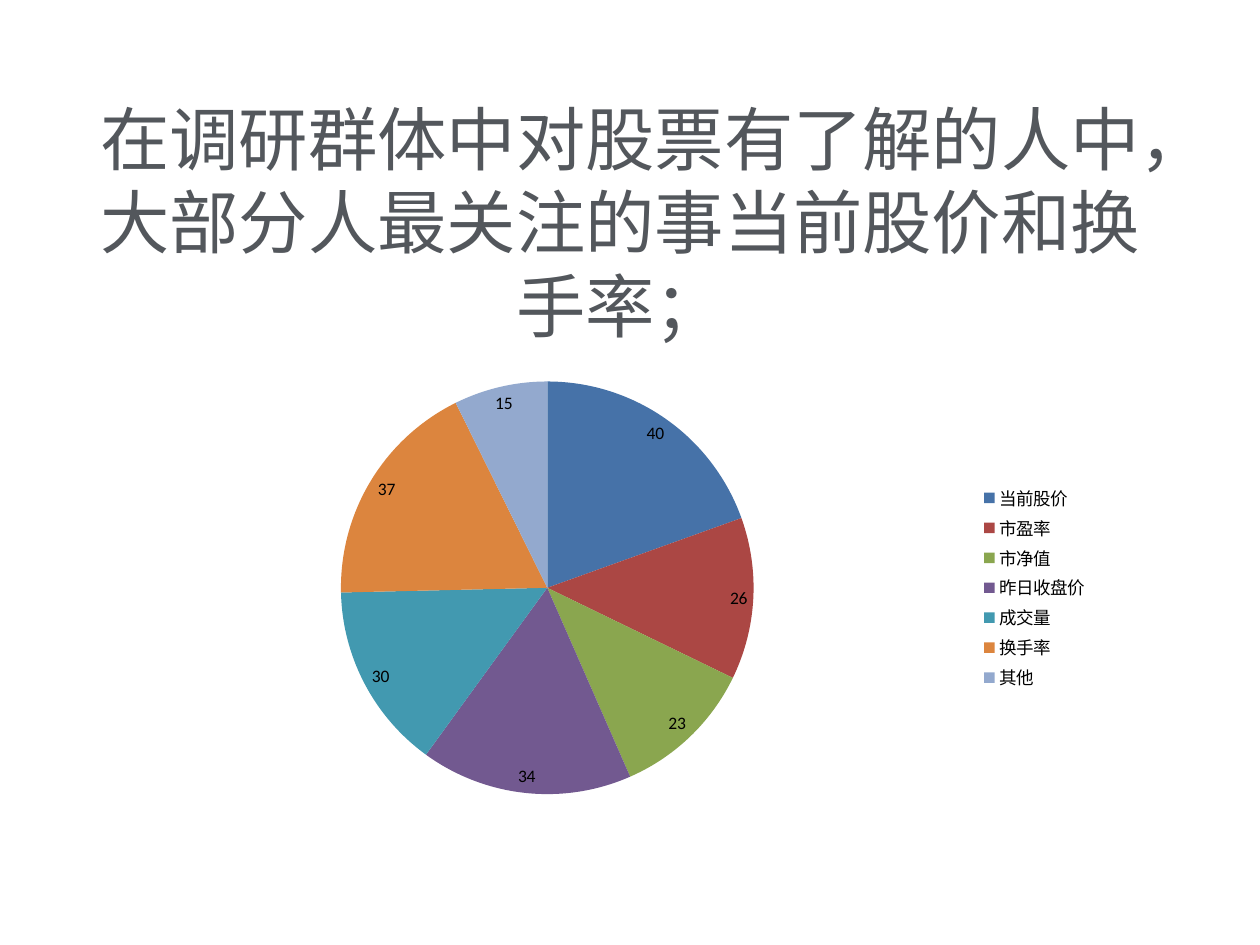
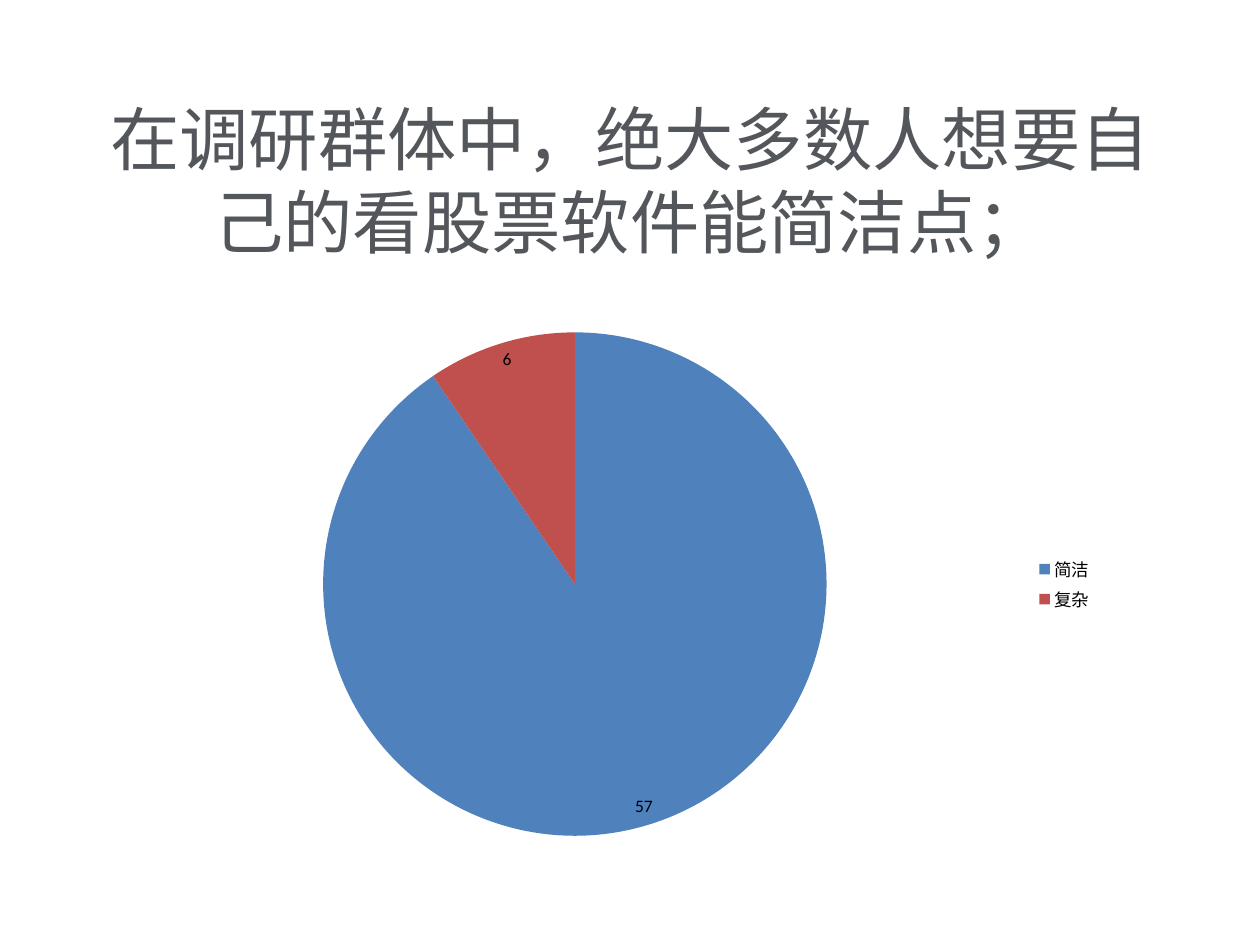
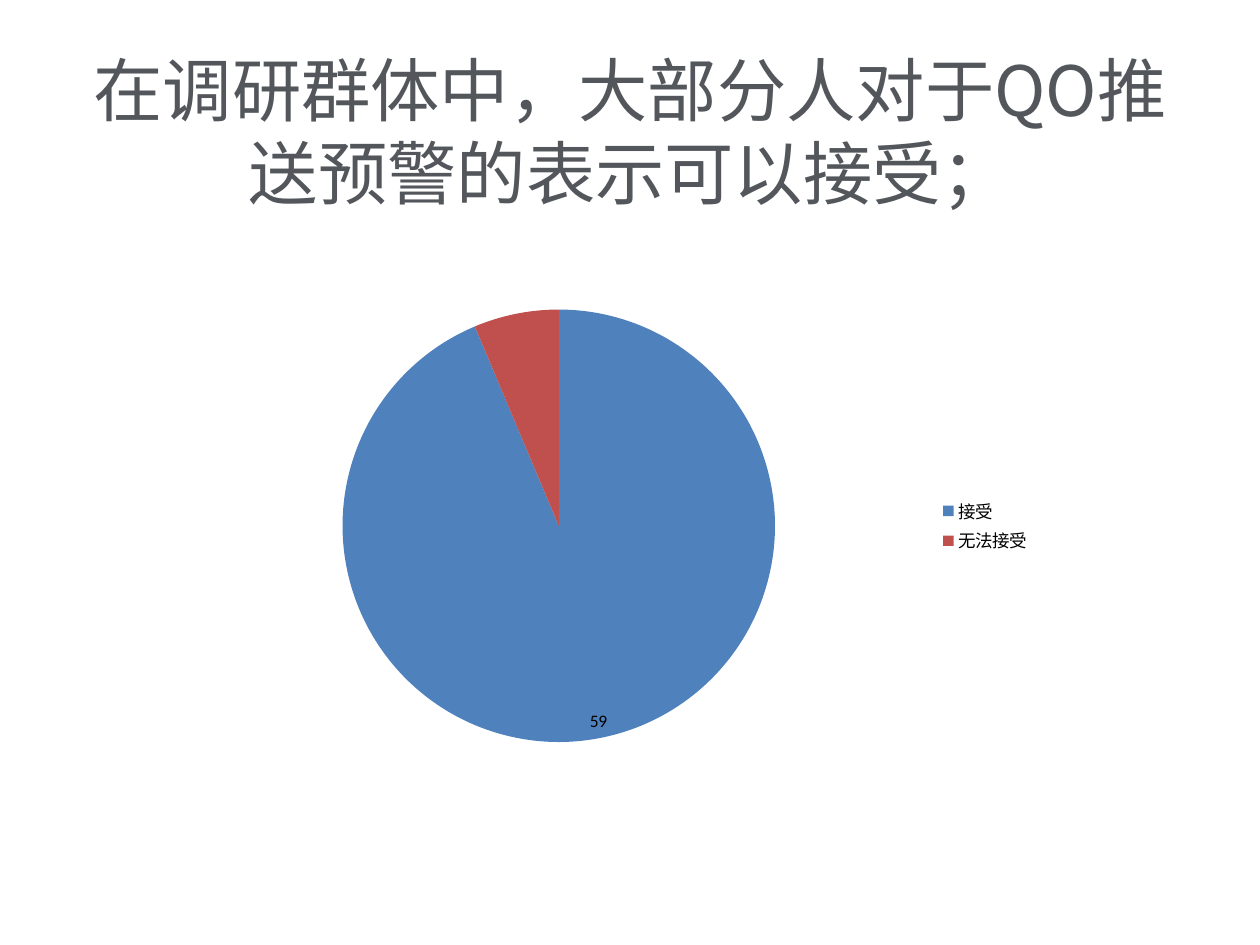
from dataclasses import dataclass

from lxml.etree import SubElement
from pptx import Presentation
from pptx.chart.data import CategoryChartData
from pptx.dml.color import RGBColor
from pptx.enum.chart import XL_CHART_TYPE, XL_LABEL_POSITION, XL_LEGEND_POSITION
from pptx.enum.text import MSO_ANCHOR, MSO_AUTO_SIZE, PP_ALIGN
from pptx.oxml import parse_xml
from pptx.oxml.ns import nsdecls, qn
from pptx.slide import Slide
from pptx.util import Cm, Pt

COLORS = {
    "title_dark": "53575C",
    "title_light": "C5C7CA",
    "label": "000000",
    "blue": "4F81BD",
    "red": "C0504D",
    "deep_blue": "4672A8",
    "deep_red": "AB4744",
    "deep_green": "8AA64F",
    "deep_purple": "725990",
    "deep_teal": "4299B0",
    "deep_orange": "DC853E",
    "pale_blue": "93A9CE",
}
TITLE_FONT = "Noto Sans CJK SC"
CHART_FONT = "Calibri"
TITLE_WIDTH, TITLE_HEIGHT = Cm(22.86), Cm(3.18)
PAIR = ("blue", "red")
SEVEN = ("deep_blue", "deep_red", "deep_green", "deep_purple",
         "deep_teal", "deep_orange", "pale_blue")


@dataclass(frozen=True)
class Box:
    left: float
    top: float
    width: float
    height: float


@dataclass(frozen=True)
class Finding:
    title: str
    title_left: float
    title_top: float
    chart_box: Box
    answers: dict[str, int]
    colors: tuple[str, ...]
    unlabelled: tuple[int, ...] = ()


FINDINGS = (
    Finding(
        "在调研群体中对股票有了解的人中，大部分人最关注的事当前股价和换手率；",
        1.07, 2.87, Box(2.34, 7.34, 19.86, 9.02),
        {"当前股价": 40, "市盈率": 26, "市净值": 23, "昨日收盘价": 34,
         "成交量": 30, "换手率": 37, "其他": 15},
        SEVEN,
    ),
    Finding(
        "在调研群体中，绝大多数人想要自己的看股票软件能简洁点；",
        1.27, 2.03, Box(2.34, 6.35, 19.94, 10.85),
        {"简洁": 57, "复杂": 6},
        PAIR,
    ),
    Finding(
        "在调研群体中，大部分人对于QO推送预警的表示可以接受；",
        1.27, 1.04, Box(3.63, 5.89, 17.4, 9.42),
        {"接受": 59, "无法接受": 4},
        PAIR,
        unlabelled=(1,),
    ),
)


def rgb(name: str) -> RGBColor:
    return RGBColor.from_string(COLORS[name])


def set_title(s: Slide, finding: Finding) -> None:
    sp = s.shapes.title
    sp.left, sp.top = Cm(finding.title_left), Cm(finding.title_top)
    sp.width, sp.height = TITLE_WIDTH, TITLE_HEIGHT
    tf = sp.text_frame
    tf.word_wrap = True
    tf.auto_size = MSO_AUTO_SIZE.NONE
    tf.vertical_anchor = MSO_ANCHOR.MIDDLE
    p = tf.paragraphs[0]
    p.alignment = PP_ALIGN.CENTER
    r = p.add_run()
    r.text = finding.title
    r.font.size = Pt(39.6)
    r.font.name = TITLE_FONT
    fill = r.font.fill
    fill.gradient()
    fill.gradient_angle = 270
    stops = (("title_dark", 0.21), ("title_light", 0.88))
    for stop, (color, position) in zip(fill.gradient_stops, stops):
        stop.color.rgb = rgb(color)
        stop.position = position
    SubElement(r.font._element, qn("a:ea"), typeface=TITLE_FONT)


def add_pie(s: Slide, finding: Finding) -> None:
    data = CategoryChartData()
    data.categories = list(finding.answers)
    data.add_series("Series 1", list(finding.answers.values()))
    box = finding.chart_box
    chart = s.shapes.add_chart(
        XL_CHART_TYPE.PIE, Cm(box.left), Cm(box.top),
        Cm(box.width), Cm(box.height), data).chart
    chart.has_title = False
    chart.font.name = CHART_FONT
    chart.font.size = Pt(10)
    chart.font.color.rgb = rgb("label")
    chart.has_legend = True
    chart.legend.position = XL_LEGEND_POSITION.RIGHT
    chart.legend.include_in_layout = False

    plot = chart.plots[0]
    plot.vary_by_categories = True
    series = plot.series[0]
    for i, color in enumerate(finding.colors):
        fill = series.points[i].format.fill
        fill.solid()
        fill.fore_color.rgb = rgb(color)
    labels = series.data_labels
    labels.show_value = True
    labels.position = XL_LABEL_POSITION.BEST_FIT
    for i in reversed(finding.unlabelled):
        labels._element.insert(0, parse_xml(
            f'<c:dLbl {nsdecls("c")}><c:idx val="{i}"/><c:delete val="1"/></c:dLbl>'))


def main() -> None:
    prs = Presentation()
    prs.slide_width, prs.slide_height = Cm(25.4), Cm(19.05)
    title_only = prs.slide_layouts[5]
    for finding in FINDINGS:
        s = prs.slides.add_slide(title_only)
        set_title(s, finding)
        add_pie(s, finding)
    prs.save("out.pptx")


if __name__ == "__main__":
    main()
